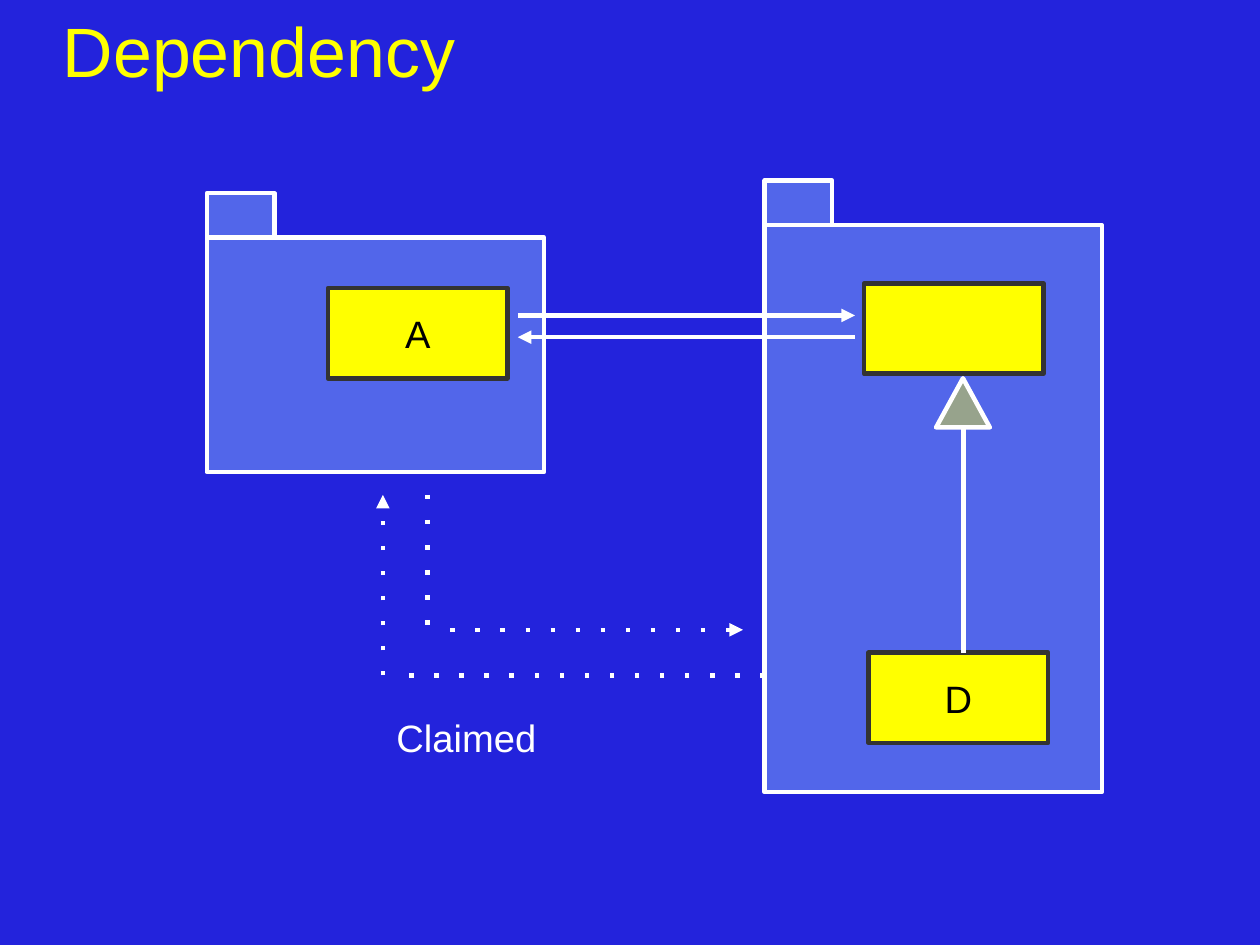
from lxml import etree
from pptx import Presentation
from pptx.dml.color import RGBColor
from pptx.enum.shapes import MSO_CONNECTOR, MSO_SHAPE
from pptx.enum.text import MSO_ANCHOR, PP_ALIGN
from pptx.oxml.ns import qn
from pptx.util import Cm, Inches, Pt

RECTANGLE = MSO_SHAPE.RECTANGLE
TRIANGLE = MSO_SHAPE.ISOSCELES_TRIANGLE
STRAIGHT = MSO_CONNECTOR.STRAIGHT
MIDDLE, TOP = MSO_ANCHOR.MIDDLE, MSO_ANCHOR.TOP
CENTER, LEFT = PP_ALIGN.CENTER, PP_ALIGN.LEFT

BLUE, SKY, YELLOW = "2323DC", "99CCFF", "FFFF00"
WHITE, GRAY, BLACK = "FFFFFF", "333333", "000000"
FONT = "Arial"
LINE_WIDTH = 2.83
OPACITY = 40

TITLE = ("Dependency", (0.55, 0.01, 9.92, 0.85))
CLAIM = ("Claimed", (3.37, 6.2, 1.42, 0.47))

# Package bodies: left, top, height, then the classes inside: label, left, top
PACKAGE_WIDTH = 2.95
TAB_WIDTH, TAB_HEIGHT = 0.59, 0.39
CLASS_WIDTH, CLASS_HEIGHT = 1.57, 0.79
PACKAGES = [
    (1.81, 2.08, 2.05, [("A", 2.87, 2.52)]),
    (6.69, 1.97, 4.96, [("", 7.56, 2.48), ("D", 7.6, 5.71)]),
]
INHERITANCE_HEAD = (8.19, 3.31, 0.47, 0.43)

# Lines: start, end, dotted, arrowhead at the end
LINES = [
    ((8.43, 3.74), (8.43, 5.71), False, False),
    ((4.53, 2.76), (7.48, 2.76), False, True),
    ((7.48, 2.95), (4.53, 2.95), False, True),
    ((6.69, 5.91), (3.54, 5.91), True, False),
    ((3.35, 5.91), (3.35, 4.33), True, True),
    ((3.74, 4.33), (3.74, 5.51), True, False),
    ((3.94, 5.51), (6.5, 5.51), True, True),
]


def paint(color_format, color):
    color_format.rgb = RGBColor.from_string(color)


def outline(item, color):
    """Draw the line with rounded joins and return its a:ln element."""
    item.line.fill.solid()
    paint(item.line.color, color)
    item.line.width = Pt(LINE_WIDTH)
    ln = item.line._get_or_add_ln()
    etree.SubElement(ln, qn("a:round"))
    return ln


def write(frame, text, size, color, align=LEFT, anchor=TOP):
    frame.text = text
    frame.vertical_anchor = anchor
    paragraph = frame.paragraphs[0]
    paragraph.alignment = align
    font = paragraph.runs[0].font
    font.name, font.size = FONT, Pt(size)
    paint(font.color, color)


def add_box(slide, box, fill, line, label="", kind=RECTANGLE, opacity=100):
    shape = slide.shapes.add_shape(kind, *map(Inches, box))
    shape.shadow.inherit = False
    shape.fill.solid()
    paint(shape.fill.fore_color, fill)
    if opacity < 100:
        rgb = shape.fill._xPr.find(qn("a:solidFill"))[0]
        etree.SubElement(rgb, qn("a:alpha"), val=str(opacity * 1000))
    outline(shape, line)
    if label:
        write(shape.text_frame, label, 24, BLACK, CENTER, MIDDLE)


def add_line(slide, start, end, dotted, arrow):
    line = slide.shapes.add_connector(STRAIGHT, *map(Inches, start + end))
    ln = outline(line, WHITE)
    if dotted:
        dash = etree.Element(qn("a:custDash"))
        etree.SubElement(dash, qn("a:ds"), d="100000", sp="457000")
        ln.find(qn("a:round")).addprevious(dash)
    if arrow:
        etree.SubElement(ln, qn("a:tailEnd"), type="triangle")
    etree.SubElement(line._element.spPr, qn("a:effectLst"))


def add_package(slide, left, top, height, classes):
    body = (left, top, PACKAGE_WIDTH, height)
    tab = (left, top - TAB_HEIGHT, TAB_WIDTH, TAB_HEIGHT)
    for part in (body, tab):
        add_box(slide, part, SKY, WHITE, opacity=OPACITY)
    for label, x, y in classes:
        add_box(slide, (x, y, CLASS_WIDTH, CLASS_HEIGHT), YELLOW, GRAY, label)


def main():
    prs = Presentation()
    prs.slide_width, prs.slide_height = Cm(28), Cm(21)
    slide = prs.slides.add_slide(prs.slide_layouts[6])
    slide.background.fill.solid()
    paint(slide.background.fill.fore_color, BLUE)

    text, box = TITLE
    title = slide.shapes.add_textbox(*map(Inches, box)).text_frame
    title.word_wrap = True
    title.margin_left = title.margin_right = 0
    title.margin_top = title.margin_bottom = 0
    write(title, text, 44, YELLOW, anchor=MIDDLE)

    for package in PACKAGES:
        add_package(slide, *package)
    add_box(slide, INHERITANCE_HEAD, YELLOW, WHITE, kind=TRIANGLE, opacity=OPACITY)
    for line in LINES:
        add_line(slide, *line)

    text, box = CLAIM
    claim = slide.shapes.add_textbox(*map(Inches, box)).text_frame
    claim.word_wrap = False
    write(claim, text, 24, WHITE)

    prs.save("out.pptx")


if __name__ == "__main__":
    main()
